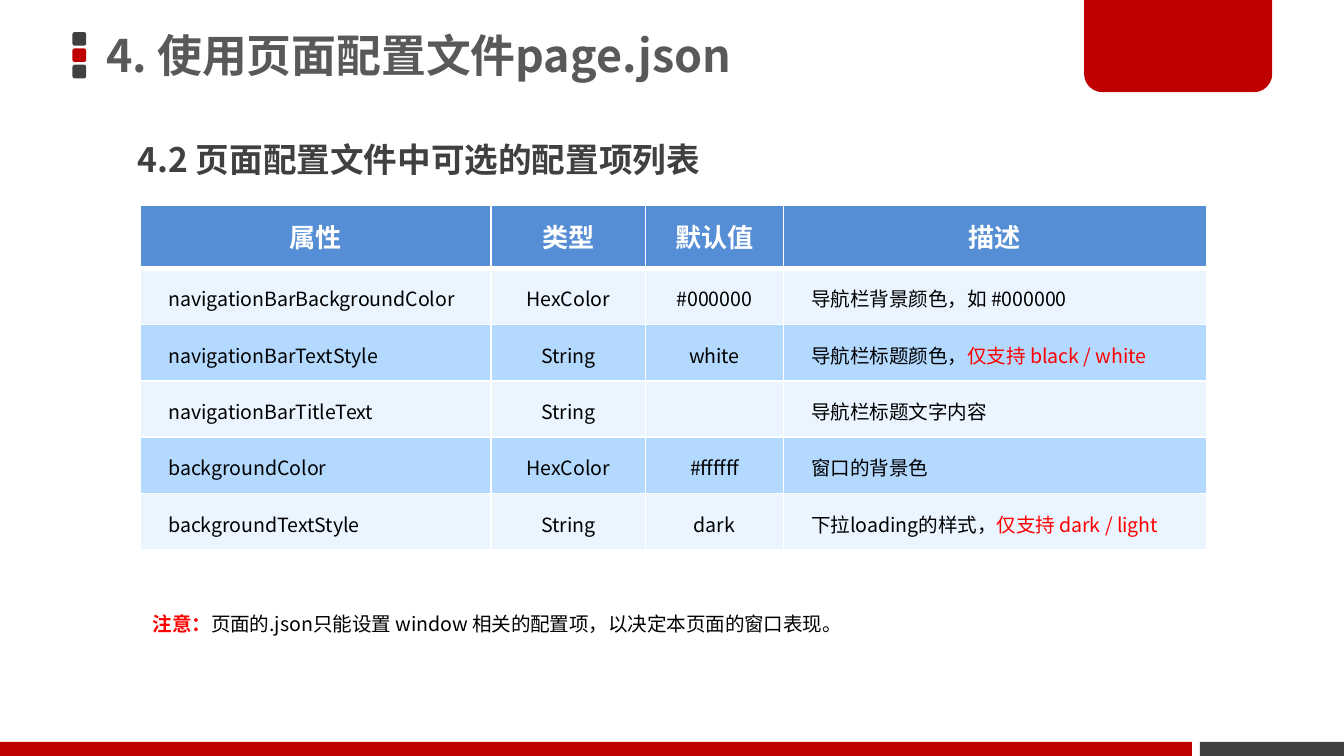
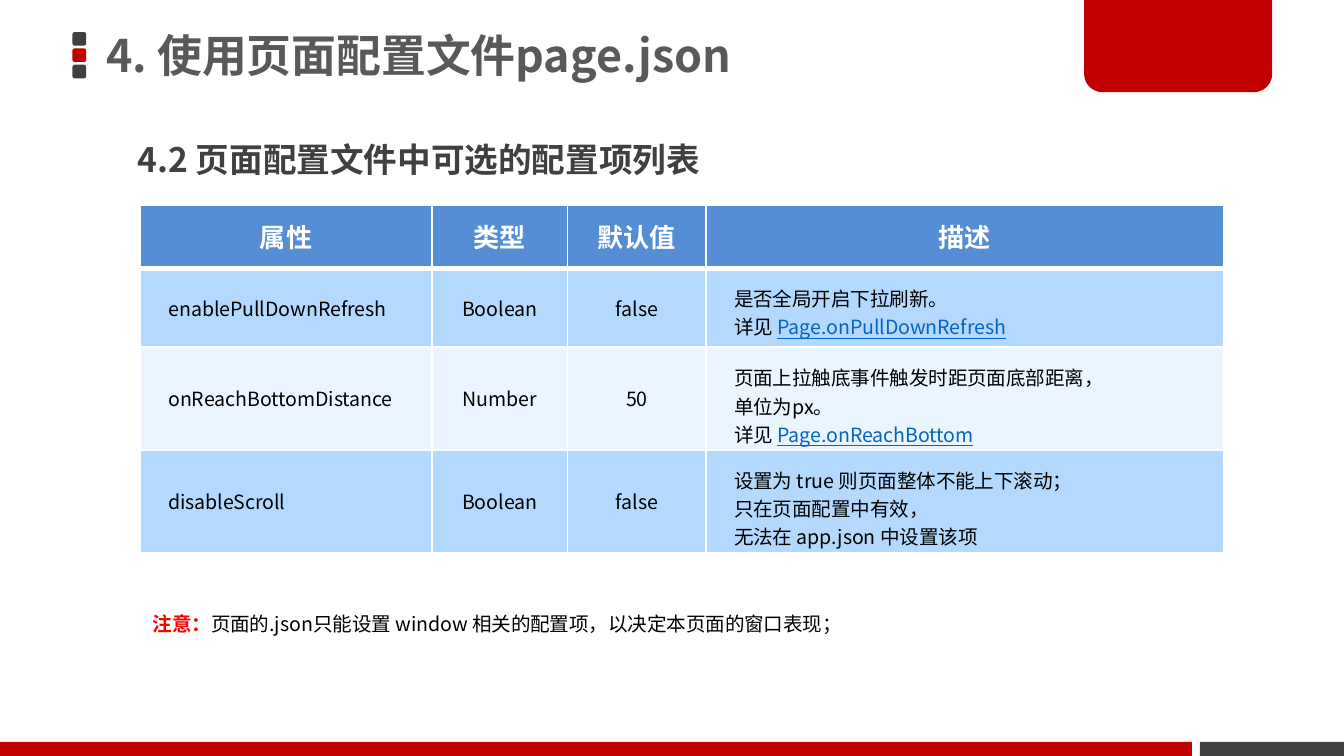
"""Build two slides that list the options of a page configuration file."""
from copy import deepcopy

from lxml.etree import SubElement
from pptx import Presentation
from pptx.dml.color import RGBColor as Rgb
from pptx.enum.shapes import MSO_SHAPE as Shape
from pptx.enum.text import MSO_ANCHOR as Anchor, MSO_AUTO_SIZE as Fit, PP_ALIGN as Align
from pptx.oxml.ns import qn
from pptx.util import Pt

FONT = "Noto Sans CJK SC"
HUES = {
    "red": "C00000", "dark": "404040", "title": "595959", "white": "FFFFFF",
    "black": "000000", "alert": "FF0000", "link": "0563C1",
    "head": "558ED5", "pale": "EBF5FF", "blue": "B3D9FF",
}
HEADS = ["属性", "类型", "默认值", "描述"]
ALERT = {"hue": "alert"}
LINK = {"hue": "link", "under": True}


def style(run, size, hue="black", bold=False, under=None):
    font = run.font
    font.size, font.bold, font.underline = Pt(size), bold, under
    font.color.rgb = Rgb.from_string(HUES[hue])
    font.name = FONT
    SubElement(run._r.rPr, qn("a:ea")).set("typeface", FONT)


def write(frame, text, align=Align.LEFT, space=None, before=None, **look):
    paras = text if isinstance(text, list) else [text]
    for i, runs in enumerate(paras):
        para = frame.add_paragraph() if i else frame.paragraphs[0]
        para.alignment = align
        if space:
            para.line_spacing = space
        if before:
            para.space_before = Pt(before)
        for part in [runs] if isinstance(runs, str) else runs:
            words, extra = (part, {}) if isinstance(part, str) else part
            for j, line in enumerate(words.split("\n")):
                if j:
                    para.add_line_break()
                    para._p[-1].append(deepcopy(run._r.rPr))
                run = para.add_run()
                run.text = line
                style(run, **{**look, **extra})


class Deck:
    def __init__(self):
        self.show = Presentation()
        self.show.slide_width, self.show.slide_height = Pt(720), Pt(405)

    def page(self, title):
        self.slide = self.show.slides.add_slide(self.show.slide_layouts[5])
        for i, hue in enumerate(["dark", "red", "dark"]):
            self.block(38.8, 17.2 + 8.75 * i, 7.4, 7.3, hue, Shape.ROUNDED_RECTANGLE, [0.167])
        self.block(642.8, 397.5, 77.2, 7.5, "dark")
        self.block(580.8, 0, 100.8, 49.4, "red", Shape.ROUND_2_SAME_RECTANGLE, [0, 0.2])
        self.block(0, 397.5, 638.6, 7.5, "red")
        head = self.slide.shapes.title
        self.place(head, 49.7, 0, 530.6, 62.6)
        frame = head.text_frame
        frame.vertical_anchor, frame.auto_size = Anchor.MIDDLE, Fit.NONE
        write(frame, title, space=0.9, size=24, hue="title", bold=True)

    def place(self, item, x, y, w, h):
        item.left, item.top, item.width, item.height = Pt(x), Pt(y), Pt(w), Pt(h)

    def block(self, x, y, w, h, hue, kind=Shape.RECTANGLE, bends=()):
        item = self.slide.shapes.add_shape(kind, Pt(x), Pt(y), Pt(w), Pt(h))
        item.shadow.inherit = False
        item.fill.solid()
        item.fill.fore_color.rgb = Rgb.from_string(HUES[hue])
        item.line.fill.background()
        for i, bend in enumerate(bends):
            item.adjustments[i] = bend

    def label(self, x, y, w, h, text, **look):
        box = self.slide.shapes.add_textbox(Pt(x), Pt(y), Pt(w), Pt(h))
        box.text_frame.word_wrap = True
        write(box.text_frame, text, before=7.5, **look)

    def cell(self, cell, text, fill, pads, edges, **look):
        if text:
            cell.margin_left = cell.margin_right = Pt(pads[0])
            cell.margin_top = cell.margin_bottom = Pt(pads[1])
            write(cell.text_frame, text, **look)
        cell.vertical_anchor = Anchor.MIDDLE
        props = cell._tc.get_or_add_tcPr()
        for side, width in zip("LRTB", (1, 1, *edges)):
            line = SubElement(props, qn(f"a:ln{side}"), w=str(Pt(width)))
            paint = SubElement(line, qn("a:solidFill"))
            SubElement(paint, qn("a:srgbClr"), val=HUES["white"])
        cell.fill.solid()
        cell.fill.fore_color.rgb = Rgb.from_string(HUES[fill])

    def table(self, x, y, widths, rows, bands):
        high = [33.8] + [30.2] * len(rows)
        grid = self.slide.shapes.add_table(
            len(high), len(widths), Pt(x), Pt(y), Pt(sum(widths)), Pt(sum(high))).table
        for col, width in zip(grid.columns, widths):
            col.width = Pt(width)
        for row, tall in zip(grid.rows, high):
            row.height = Pt(tall)
        for c, text in enumerate(HEADS):
            self.cell(grid.cell(0, c), text, "head", (15.8, 4.3), (1, 3),
                      align=Align.CENTER, size=14, hue="white", bold=True)
        for r, row in enumerate(rows, 1):
            for c, text in enumerate(row):
                self.cell(grid.cell(r, c), text, bands[(r - 1) % 2], (15, 8.6),
                          (3 if r == 1 else 1, 1), size=10.5,
                          align=Align.CENTER if c in (1, 2) else Align.LEFT)


PAGES = [
    ([187.9, 82.7, 73.9, 226.7], ("pale", "blue"), "。", [
        ["navigationBarBackgroundColor", "HexColor", "#000000", "导航栏背景颜色，如 #000000"],
        ["navigationBarTextStyle", "String", "white",
         [["导航栏标题颜色，", ("仅支持 black / white", ALERT)]]],
        ["navigationBarTitleText", "String", "", "导航栏标题文字内容"],
        ["backgroundColor", "HexColor", "#ffffff", "窗口的背景色"],
        ["backgroundTextStyle", "String", "dark",
         [["下拉loading的样式，", ("仅支持 dark / light", ALERT)]]],
    ]),
    ([156.2, 72.7, 74.2, 277.2], ("blue", "pale"), "；", [
        ["enablePullDownRefresh", "Boolean", "false",
         [["是否全局开启下拉刷新。\n详见 ", ("Page.onPullDownRefresh", LINK)]]],
        ["onReachBottomDistance", "Number", "50",
         ["页面上拉触底事件触发时距页面底部距离，",
          ["单位为px。\n详见 ", ("Page.onReachBottom", LINK)]]],
        ["disableScroll", "Boolean", "false",
         ["设置为 true 则页面整体不能上下滚动；", "只在页面配置中有效，",
          "无法在 app.json 中设置该项"]],
    ]),
]


def main():
    deck = Deck()
    for widths, bands, stop, rows in PAGES:
        deck.page("4. 使用页面配置文件page.json")
        deck.label(66.7, 73.4, 511, 42.5, "4.2 页面配置文件中可选的配置项列表",
                   space=0.9, size=18, hue="dark", bold=True)
        deck.table(75.2, 109.8, widths, rows, bands)
        note = "页面的.json只能设置 window 相关的配置项，以决定本页面的窗口表现" + stop
        deck.label(74.7, 318.2, 530.6, 51.8,
                   [[("注意：", {"hue": "alert", "bold": True}), note]], space=1.5, size=10.5)
    deck.show.save("out.pptx")


if __name__ == "__main__":
    main()
